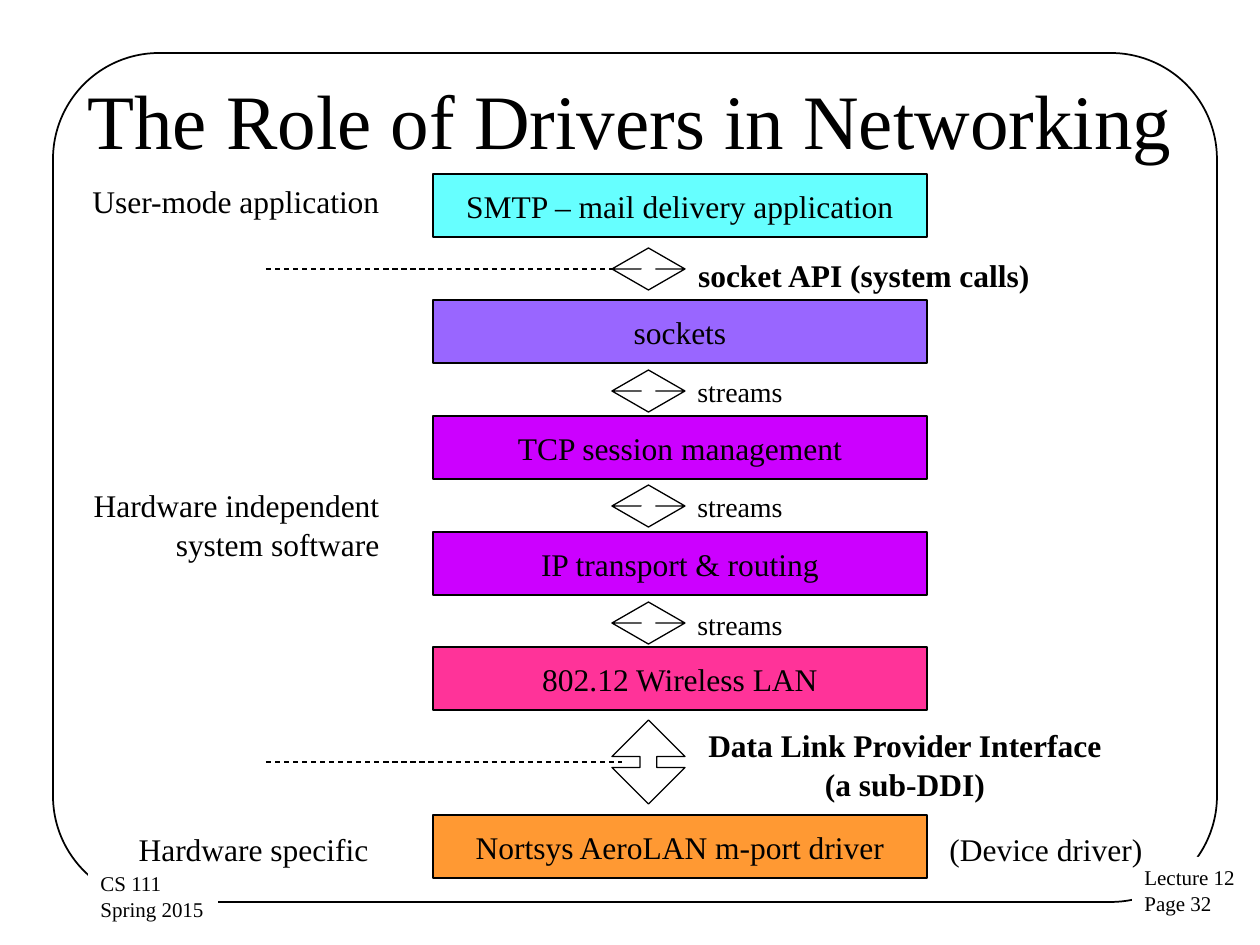
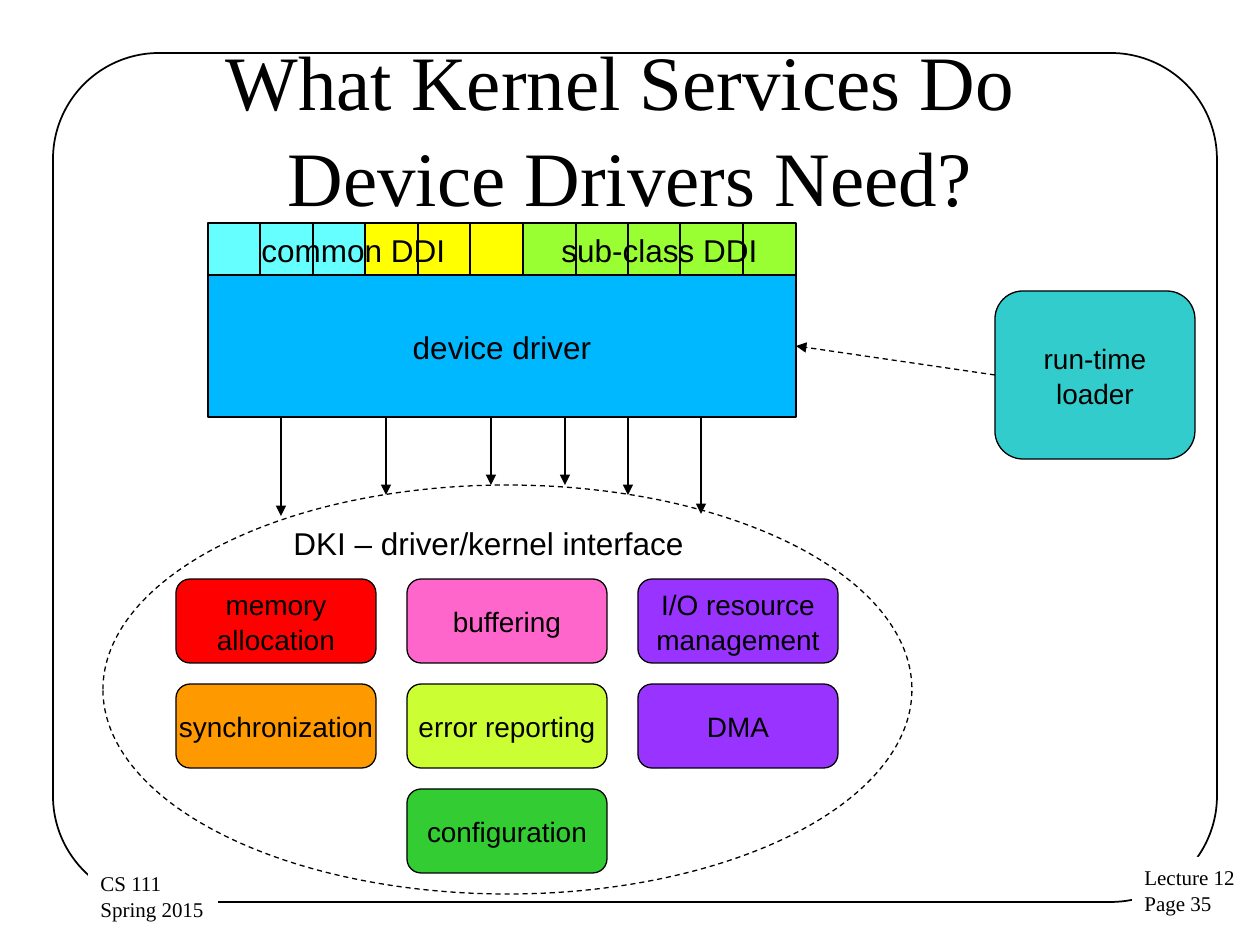
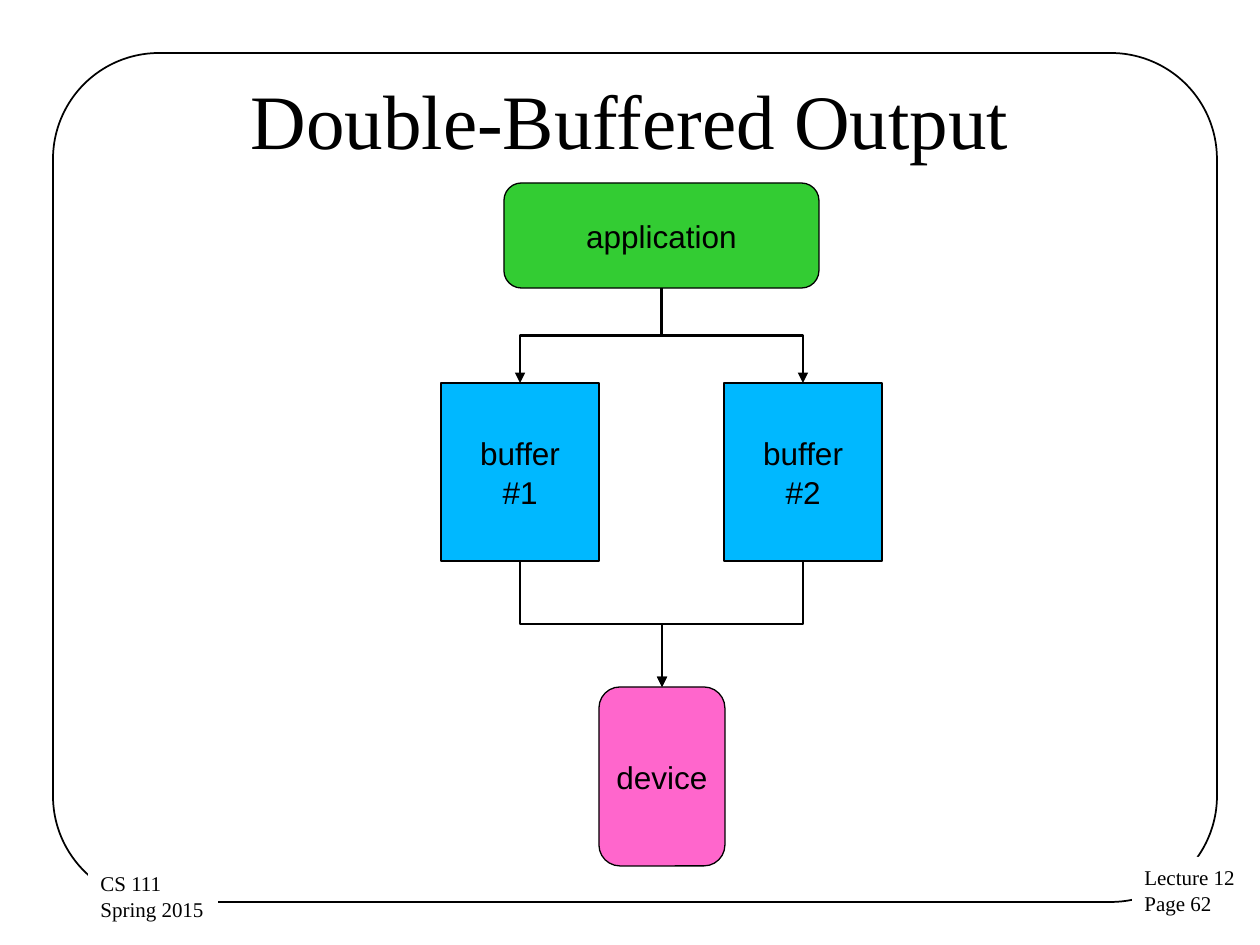
from pptx import Presentation
from pptx.dml.color import RGBColor
from pptx.enum.dml import MSO_LINE
from pptx.enum.shapes import MSO_CONNECTOR, MSO_SHAPE
from pptx.enum.text import MSO_ANCHOR, PP_ALIGN
from pptx.oxml.ns import qn
from pptx.util import Pt
from lxml.etree import SubElement

PX = 914400 / 126
SERIF, SANS = "Times New Roman", "Arial"
RECT, ROUND = MSO_SHAPE.RECTANGLE, MSO_SHAPE.ROUNDED_RECTANGLE
LEFT, MID, RIGHT = PP_ALIGN.LEFT, PP_ALIGN.CENTER, PP_ALIGN.RIGHT

BLACK = RGBColor(0x00, 0x00, 0x00)
WHITE = RGBColor(0xFF, 0xFF, 0xFF)
CYAN = RGBColor(0x66, 0xFF, 0xFF)
VIOLET = RGBColor(0x99, 0x66, 0xFF)
MAGENTA = RGBColor(0xCC, 0x00, 0xFF)
ROSE = RGBColor(0xFF, 0x33, 0x99)
APRICOT = RGBColor(0xFF, 0x99, 0x33)
YELLOW = RGBColor(0xFF, 0xFF, 0x00)
LIME = RGBColor(0x99, 0xFF, 0x33)
BLUE = RGBColor(0x00, 0xB8, 0xFF)
RED = RGBColor(0xFF, 0x00, 0x00)
ORANGE = RGBColor(0xFF, 0x99, 0x00)
CITRON = RGBColor(0xCC, 0xFF, 0x33)
TEAL = RGBColor(0x33, 0xCC, 0xCC)
PURPLE = RGBColor(0x99, 0x33, 0xFF)
PINK = RGBColor(0xFF, 0x66, 0xCC)
GREEN = RGBColor(0x33, 0xCC, 0x33)

# Slide 1: layers (top, text, fill), arrows (top, height, head), labels
LAYERS = [
    (174, "SMTP – mail delivery application", CYAN),
    (300, "sockets", VIOLET),
    (416, "TCP session management", MAGENTA),
    (532, "IP transport & routing", MAGENTA),
    (647, "802.12 Wireless LAN", ROSE),
    (815, "Nortsys AeroLAN m-port driver", APRICOT),
]
ARROWS = [(248, 42, 0.2), (370, 42, 0.2), (485, 42, 0.2), (602, 42, 0.2), (720, 84, 0.229)]
BORDERS = [(269, 612), (762, 622)]
STREAMS = [367, 482, 600]
NOTES = [  # box, text, alignment, bold
    ((14, 174, 378, 50), "User-mode application", RIGHT, False),
    ((14, 478, 378, 89), "Hardware independent system software", RIGHT, False),
    ((3, 822, 378, 50), "Hardware specific", RIGHT, False),
    ((937, 822, 262, 50), "(Device driver)", LEFT, False),
    ((643, 248, 399, 50), "socket API (system calls)", RIGHT, True),
    ((690, 718, 430, 89), "Data Link Provider Interface (a sub-DDI)", MID, True),
]

# Slide 2: entry points, kernel services (column, row), calls (x, end y)
ENTRIES = [(208, 157, CYAN, ""), (365, 158, YELLOW, ""), (523, 273, LIME, "sub-class DDI")]
SPLITS = [260, 313, 365, 418, 470, 576, 628, 680, 743]
SERVICES = [
    (0, 0, "memory\nallocation", RED),
    (1, 0, "buffering", PINK),
    (2, 0, "I/O resource\nmanagement", PURPLE),
    (0, 1, "synchronization", ORANGE),
    (1, 1, "error reporting", CITRON),
    (2, 1, "DMA", PURPLE),
    (1, 2, "configuration", GREEN),
]
CALLS = [(281, 516), (386, 495), (491, 485), (565, 485), (628, 495), (701, 514)]

# Slide 3: buffers (left, text)
BUFFERS = [(441, "buffer\n#1"), (724, "buffer\n#2")]


def emu(*nums):
    return [round(n * PX) for n in nums]


def write(shape, text, size, font, align=MID, bold=False, wrap=False, anchor=MSO_ANCHOR.MIDDLE):
    frame = shape.text_frame
    frame.text = text
    frame.word_wrap = wrap
    frame.vertical_anchor = anchor
    for para in frame.paragraphs:
        para.alignment = align
        para.line_spacing = 1.04
        for run in para.runs:
            run.font.size, run.font.name, run.font.bold = Pt(size), font, bold
            run.font.color.rgb = BLACK


def label(slide, box, text, size, font, align=LEFT, bold=False, anchor=MSO_ANCHOR.TOP):
    write(slide.shapes.add_textbox(*emu(*box)), text, size, font, align, bold, True, anchor)


def block(slide, kind, box, fill=None, text="", size=18, font=SANS, width=0.75):
    shape = slide.shapes.add_shape(kind, *emu(*box))
    shape.shadow.inherit = False
    if fill is None:
        shape.fill.background()
    else:
        shape.fill.solid()
        shape.fill.fore_color.rgb = fill
    if width:
        shape.line.color.rgb = BLACK
        shape.line.width = Pt(width)
    else:
        shape.line.fill.background()
    if text:
        write(shape, text, size, font)
    return shape


def link(slide, ends, kind=MSO_CONNECTOR.STRAIGHT, width=0.75, dash=False, head=False):
    line = slide.shapes.add_connector(kind, *emu(*ends))
    line.line.color.rgb = BLACK
    line.line.width = Pt(width)
    if dash:
        line.line.dash_style = MSO_LINE.DASH
    props = line._element.spPr
    if head:
        SubElement(props.find(qn("a:ln")), qn("a:tailEnd"), type="triangle")
    SubElement(props, qn("a:effectLst"))
    return line


def elbow(slide, start, end):
    """Join bottom of start to top of end, leaving vertically."""
    line = link(slide, (0, 0, 9, 9), MSO_CONNECTOR.ELBOW, 1.5, head=True)
    line.begin_connect(start, 2)
    line.end_connect(end, 0)
    x1, y1 = start.left + start.width // 2, start.top + start.height
    x2, y2 = end.left + end.width // 2, end.top
    wide, tall = abs(x2 - x1), y2 - y1
    line.left, line.top = (x1 + x2 - tall) // 2, (y1 + y2 - wide) // 2
    line.width, line.height = tall, wide
    right = x2 > x1
    form = line._element.spPr.find(qn("a:xfrm"))
    form.set("rot", "16200000" if right else "5400000")
    form.set("flipH", "1" if right else "0")
    form.set("flipV", "0")


def start(deck, title, page, top=38):
    """Add a slide with its frame, footers and title."""
    slide = deck.slides.add_slide(deck.slide_layouts[6])
    block(slide, ROUND, (53, 53, 1164, 849), width=1).adjustments[0] = 0.125
    for box, text in [((1132, 857, 117, 64), f"Lecture 12\nPage {page}"),
                      ((88, 863, 130, 64), "CS 111\nSpring 2015")]:
        foot = block(slide, RECT, box, WHITE, width=0)
        write(foot, text, 12, SERIF, LEFT, anchor=MSO_ANCHOR.TOP)
    label(slide, (63, top, 1134, 158), title, 44, SERIF, MID, anchor=MSO_ANCHOR.MIDDLE)
    return slide


def network(deck):
    slide = start(deck, "The Role of Drivers in Networking", 32)
    for top, text, fill in LAYERS:
        block(slide, RECT, (433, top, 494, 63), fill, text, font=SERIF)
    for y, end in BORDERS:
        link(slide, (266, y, end, y), dash=True)
    for top, tall, head in ARROWS:
        arrow = block(slide, MSO_SHAPE.UP_DOWN_ARROW, (612, top, 73, tall))
        arrow.adjustments[1] = head
    for top in STREAMS:
        label(slide, (685, top, 136, 47), "streams", 16, SERIF)
    for box, text, align, bold in NOTES:
        label(slide, box, text, 18, SERIF, align, bold)


def kernel(deck):
    slide = start(deck, "What Kernel Services Do \vDevice Drivers Need?", 35, 47)
    # Driver with its entry points
    for left, wide, fill, text in ENTRIES:
        block(slide, RECT, (left, 223, wide, 52), fill, text)
    driver = block(slide, RECT, (208, 275, 588, 142), BLUE, "device driver")
    for x in SPLITS:
        link(slide, (x, 223, x, 275))
    label(slide, (249, 223, 221, 50), "common DDI", 18, SANS)
    # Loader
    loader = block(slide, ROUND, (995, 291, 200, 168), TEAL, "run-time\nloader", 16)
    load = link(slide, (995, 375, 796, 346), dash=True, head=True)
    load.begin_connect(loader, 1)
    load.end_connect(driver, 3)
    # Kernel interface
    oval = block(slide, MSO_SHAPE.OVAL, (103, 485, 809, 409))
    oval.line.dash_style = MSO_LINE.DASH
    label(slide, (281, 516, 451, 50), "DKI – driver/kernel interface", 18, SANS)
    for x, end in CALLS:
        link(slide, (x, 417, x, end), head=True)
    for col, row, text, fill in SERVICES:
        block(slide, ROUND, (176 + 231 * col, 579 + 105 * row, 200, 84), fill, text, 16)


def buffers(deck):
    slide = start(deck, "Double-Buffered Output", 62)
    app = block(slide, ROUND, (504, 183, 315, 105), GREEN, "application")
    device = block(slide, ROUND, (599, 687, 126, 179), PINK, "device")
    for left, text in BUFFERS:
        store = block(slide, RECT, (left, 383, 158, 178), BLUE, text)
        elbow(slide, app, store)
        elbow(slide, store, device)


def main():
    deck = Presentation()
    deck.slide_width, deck.slide_height = emu(1260, 945)
    network(deck)
    kernel(deck)
    buffers(deck)
    deck.save("out.pptx")


if __name__ == "__main__":
    main()
